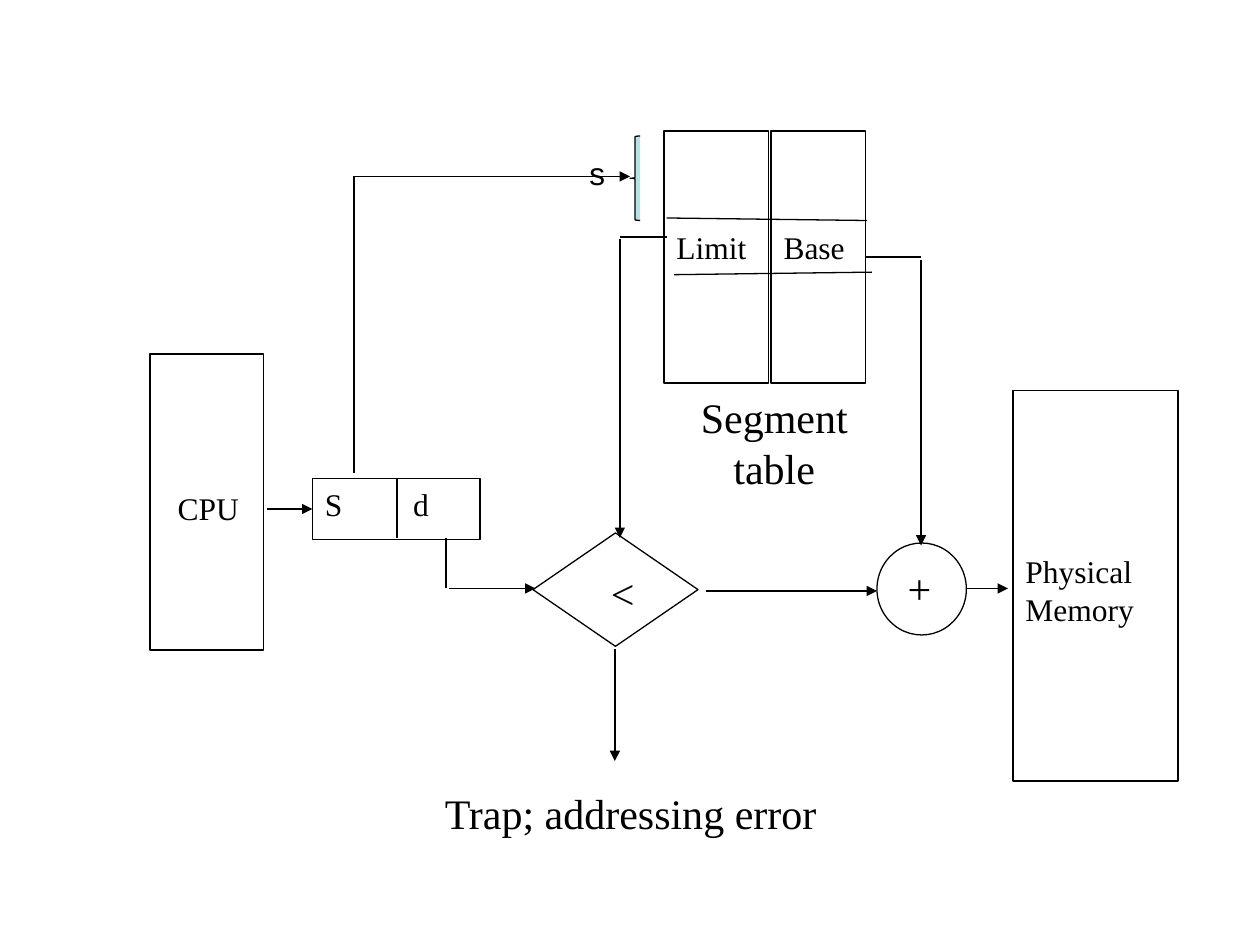
from lxml.etree import SubElement
from pptx import Presentation
from pptx.dml.color import RGBColor
from pptx.enum.shapes import MSO_CONNECTOR as CONN, MSO_SHAPE as SHAPE
from pptx.enum.text import MSO_ANCHOR as ANCHOR, PP_ALIGN as ALIGN
from pptx.oxml.ns import qn
from pptx.util import Inches, Pt

LEFT, RIGHT = 1, 3  # connection sites of a rectangle


def color(value):
    return RGBColor.from_string(value)


class Diagram:
    ink, paper, accent = "000000", "FFFFFF", "BBE0E3"
    font, line_width = "Times New Roman", 0.75

    def __init__(self, slide):
        self.slide = slide

    def set_text(self, sp, text, size, frame, align=ALIGN.LEFT, font=None, tab=None):
        tf = sp.text_frame
        for name, value in frame.items():
            setattr(tf, name, value)
        tf.text = text
        for p in tf.paragraphs:
            p.alignment = align
            if tab:
                tabs = SubElement(p._p.get_or_add_pPr(), qn("a:tabLst"))
                SubElement(tabs, qn("a:tab"), pos=str(Inches(tab)), algn="l")
            for r in p.runs:
                style = {"name": font or self.font, "size": Pt(size)}
                for name, value in style.items():
                    setattr(r.font, name, value)
                r.font.color.rgb = color(self.ink)

    def shape(self, kind, box, text="", size=18, inset=(0.1, 0.05), fill=None, tab=None):
        sp = self.slide.shapes.add_shape(kind, *map(Inches, box))
        sp.shadow.inherit = False
        sp.fill.solid()
        sp.fill.fore_color.rgb = color(fill or self.paper)
        sp.line.color.rgb = color(self.ink)
        sp.line.width = Pt(self.line_width)
        if text:
            left, top = map(Inches, inset)
            frame = {"word_wrap": True, "vertical_anchor": ANCHOR.TOP,
                     "margin_left": left, "margin_top": top,
                     "margin_right": 0, "margin_bottom": 0}
            self.set_text(sp, text, size, frame, tab=tab)
        return sp

    def label(self, box, text, size=24, anchor=ANCHOR.MIDDLE, align=ALIGN.CENTER, font=None):
        sp = self.slide.shapes.add_textbox(*map(Inches, box))
        frame = {"word_wrap": False, "vertical_anchor": anchor}
        self.set_text(sp, text, size, frame, align, font)

    def line(self, start, end, arrow=False):
        ln = self.slide.shapes.add_connector(CONN.STRAIGHT, *map(Inches, start + end))
        ln.line.color.rgb = color(self.ink)
        ln.line.width = Pt(self.line_width)
        if arrow:
            SubElement(ln.line._get_or_add_ln(), qn("a:tailEnd"), type="triangle")
        SubElement(ln._element.spPr, qn("a:effectLst"))
        return ln


def main():
    prs = Presentation()
    prs.slide_width, prs.slide_height = Inches(10), Inches(7.5)
    d = Diagram(prs.slides.add_slide(prs.slide_layouts[6]))

    # Hardware blocks
    d.shape(SHAPE.RECTANGLE, (1.19, 2.81, 0.9, 2.35), "CPU", inset=(0.22, 1.07))
    address = d.shape(SHAPE.RECTANGLE, (2.48, 3.8, 1.33, 0.48), "S\td", tab=0.7)
    d.shape(SHAPE.FLOWCHART_DECISION, (4.23, 4.23, 1.31, 0.9), "<", 24, (0.29, 0.05))
    d.shape(SHAPE.OVAL, (6.96, 4.31, 0.71, 0.73), "+", 24, (0.14, 0.05))
    d.shape(SHAPE.RECTANGLE, (8.04, 3.1, 1.31, 3.1), "Physical\nMemory", inset=(0.1, 1.28))
    d.line((3.15, 3.79), (3.15, 4.27))

    # Segment table
    d.shape(SHAPE.RECTANGLE, (5.27, 1.04, 0.83, 2), "Limit", inset=(0.1, 0.77))
    base = d.shape(SHAPE.RECTANGLE, (6.12, 1.04, 0.75, 2), "Base", inset=(0.1, 0.77))
    d.line((5.29, 1.73), (6.88, 1.75))
    d.line((5.35, 2.18), (6.92, 2.16))
    d.label((5.27, 3.31, 1.75, 0.4), "Segment table")

    # CPU to address, offset to comparison
    d.line((2.12, 4.04), (2.48, 4.04), arrow=True).end_connect(address, LEFT)
    d.line((3.54, 4.27), (3.54, 4.67))
    d.line((3.56, 4.67), (4.25, 4.67), arrow=True)

    # Comparison to trap, adder and memory
    d.line((4.88, 5.15), (4.88, 6.04), arrow=True)
    d.line((5.6, 4.69), (6.96, 4.69), arrow=True)
    d.line((7.67, 4.67), (8, 4.67), arrow=True)
    d.label((2.65, 6.21, 4.71, 0.48), "Trap; addressing error")

    # Limit to comparison, base to adder
    d.line((4.92, 1.88), (5.29, 1.88))
    d.line((4.92, 1.9), (4.92, 4.27), arrow=True)
    d.line((6.87, 2.04), (7.31, 2.04)).begin_connect(base, RIGHT)
    d.line((7.31, 2.06), (7.31, 4.33), arrow=True)

    # Segment number to table index
    d.line((2.81, 1.4), (2.81, 3.75))
    d.line((2.81, 1.4), (5, 1.4), arrow=True)
    brace = d.shape(SHAPE.LEFT_BRACE, (5, 1.08, 0.08, 0.67), fill=d.accent)
    brace.adjustments[0] = 0.08
    d.label((4.58, 1.17, 0.33, 0.4), "s", 18, ANCHOR.TOP, ALIGN.LEFT, "Arial")

    prs.save("out.pptx")


if __name__ == "__main__":
    main()
